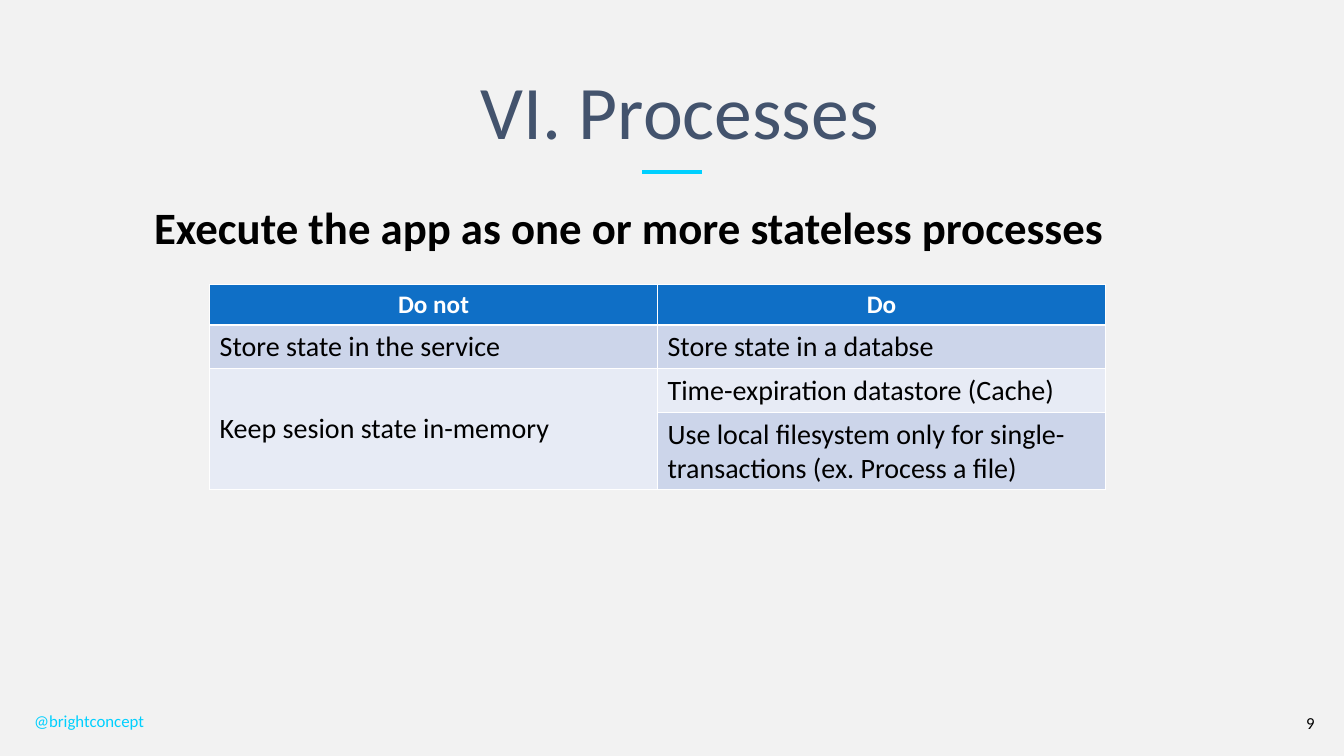
from dataclasses import dataclass

from lxml.etree import SubElement
from pptx import Presentation
from pptx.dml.color import RGBColor
from pptx.enum.shapes import MSO_CONNECTOR
from pptx.enum.text import MSO_ANCHOR, MSO_AUTO_SIZE, PP_ALIGN
from pptx.oxml.ns import qn
from pptx.util import Pt

TITLE = "VI. Processes"
PRINCIPLE = "Execute the app as one or more stateless processes"
HANDLE = "@brightconcept"
PAGE = "9"
HEADINGS = ("Do not", "Do")
PRACTICES = [
    ("Store state in the service", "Store state in a databse"),
    ("Keep sesion state in-memory", "Time-expiration datastore (Cache)"),
    (None, "Use local filesystem only for single-transactions (ex. Process a file)"),
]  # None continues the cell above


@dataclass(frozen=True)
class Theme:
    font: str = "Calibri"
    background: str = "F2F2F2"
    title: str = "43536D"
    accent: str = "00D0FF"
    ink: str = "000000"
    header: str = "0F6FC6"
    header_ink: str = "FFFFFF"
    bands: tuple = ("CCD5EA", "E7EBF5")
    title_size: int = 54
    principle_size: int = 32
    cell_size: int = 20
    header_size: int = 18
    footer_size: int = 12


THEME = Theme()
SLIDE_WIDTH, SLIDE_HEIGHT = 960, 540
CONTENT_LEFT, CONTENT_WIDTH = 103, 765.4
TITLE_TOP, TITLE_HEIGHT = 33.1, 90
RULE_WIDTH, RULE_Y = 42.8, 123
TABLE_LEFT, TABLE_TOP = 149.7, 203
COLUMN_WIDTH, ROW_HEIGHT = 320, 29.2


def write(frame, text, size, color, bold=False, align=PP_ALIGN.LEFT):
    paragraph = frame.paragraphs[0]
    paragraph.alignment = align
    run = paragraph.add_run()
    run.text = text
    run.font.name = THEME.font
    run.font.size = Pt(size)
    run.font.bold = bold
    run.font.color.rgb = RGBColor.from_string(color)


def place_title(slide):
    title = slide.shapes.title
    title.left, title.top = Pt(CONTENT_LEFT), Pt(TITLE_TOP)
    title.width, title.height = Pt(CONTENT_WIDTH), Pt(TITLE_HEIGHT)
    frame = title.text_frame
    frame.auto_size = MSO_AUTO_SIZE.NONE
    frame.vertical_anchor = MSO_ANCHOR.MIDDLE
    write(frame, TITLE, THEME.title_size, THEME.title, align=PP_ALIGN.CENTER)


def add_rule(slide):
    left = (SLIDE_WIDTH - RULE_WIDTH) / 2
    rule = slide.shapes.add_connector(
        MSO_CONNECTOR.STRAIGHT, Pt(left), Pt(RULE_Y), Pt(left + RULE_WIDTH), Pt(RULE_Y))
    rule.line.color.rgb = RGBColor.from_string(THEME.accent)
    rule.line.width = Pt(3)
    SubElement(rule._element.spPr, qn("a:effectLst"))


def add_text(slide, box, anchor, *text_style, **text_options):
    frame = slide.shapes.add_textbox(*map(Pt, box)).text_frame
    frame.word_wrap = True
    frame.vertical_anchor = anchor
    write(frame, *text_style, **text_options)


def fill_cell(cell, color):
    cell.fill.solid()
    cell.fill.fore_color.rgb = RGBColor.from_string(color)


def add_practices(slide):
    row_count, column_count = len(PRACTICES) + 1, len(HEADINGS)
    table = slide.shapes.add_table(
        row_count, column_count, Pt(TABLE_LEFT), Pt(TABLE_TOP),
        Pt(COLUMN_WIDTH * column_count), Pt(ROW_HEIGHT * row_count)).table
    for column, heading in enumerate(HEADINGS):
        cell = table.cell(0, column)
        fill_cell(cell, THEME.header)
        write(cell.text_frame, heading, THEME.header_size, THEME.header_ink,
              bold=True, align=PP_ALIGN.CENTER)
    for row, practices in enumerate(PRACTICES, start=1):
        for column, practice in enumerate(practices):
            cell = table.cell(row, column)
            fill_cell(cell, THEME.bands[(row - 1) % 2])
            if practice is None:
                above = table.cell(row - 1, column)
                above.merge(cell)
                above.vertical_anchor = MSO_ANCHOR.MIDDLE
            else:
                write(cell.text_frame, practice, THEME.cell_size, THEME.ink)


def main():
    deck = Presentation()
    deck.slide_width, deck.slide_height = Pt(SLIDE_WIDTH), Pt(SLIDE_HEIGHT)
    slide = deck.slides.add_slide(deck.slide_layouts.get_by_name("Title Only"))
    background = slide.background.fill
    background.solid()
    background.fore_color.rgb = RGBColor.from_string(THEME.background)

    add_rule(slide)
    add_text(slide, (CONTENT_LEFT, 139, CONTENT_WIDTH, 340), MSO_ANCHOR.TOP,
             PRINCIPLE, THEME.principle_size, THEME.ink, bold=True)
    place_title(slide)
    add_text(slide, (17.3, 500.7, 147, 28.8), MSO_ANCHOR.MIDDLE,
             HANDLE, THEME.footer_size, THEME.accent)
    add_text(slide, (885.6, 502, 60.5, 28.8), MSO_ANCHOR.MIDDLE,
             PAGE, THEME.footer_size, THEME.ink, align=PP_ALIGN.RIGHT)
    add_practices(slide)
    deck.save("out.pptx")


if __name__ == "__main__":
    main()
